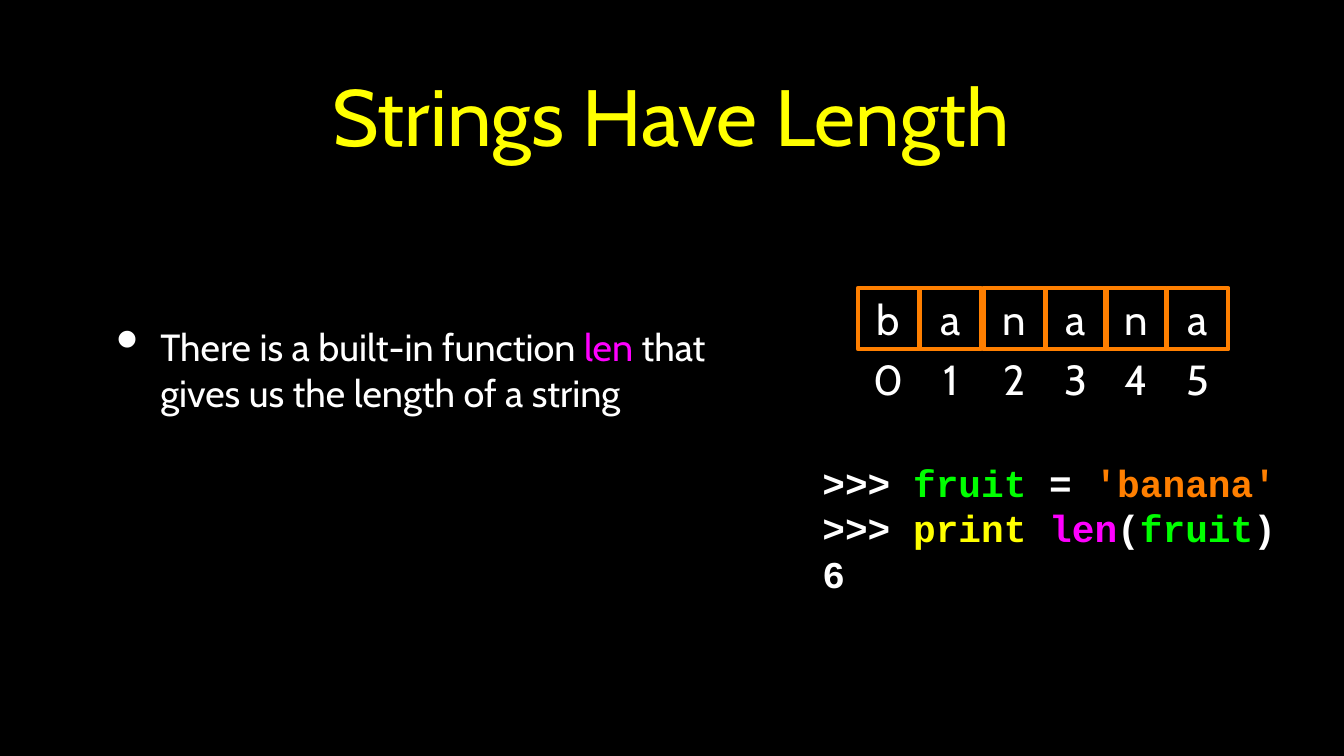
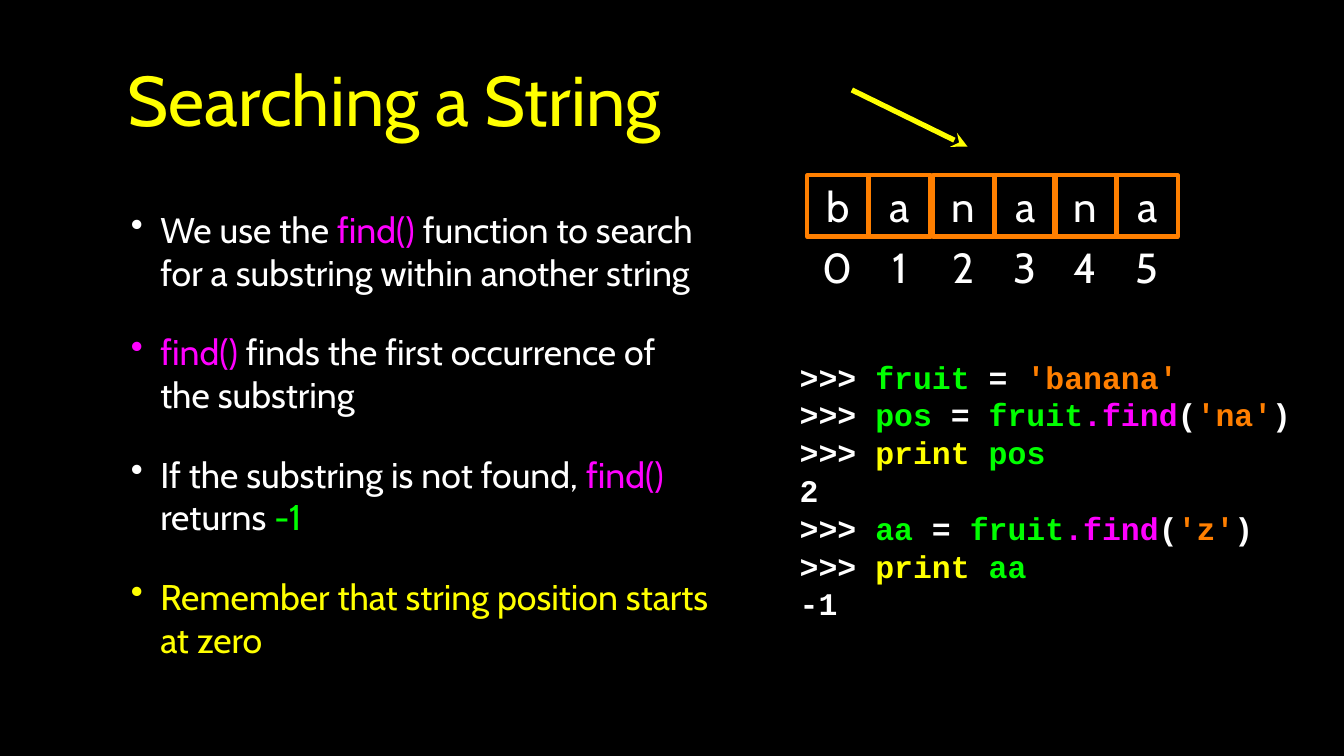
from pptx import Presentation
from pptx.dml.color import RGBColor
from pptx.enum.shapes import MSO_CONNECTOR as CONN, MSO_SHAPE as SHAPE
from pptx.enum.text import MSO_ANCHOR as ANCHOR, MSO_AUTO_SIZE as AUTOSIZE, PP_ALIGN as ALIGN
from pptx.oxml.ns import qn
from pptx.util import Inches, Pt
from lxml.etree import SubElement

COLORS = {"black": "000000", "white": "FFFFFF", "yellow": "FFFF00",
          "green": "00FF00", "pink": "FF00FF", "orange": "FF7F00"}
SANS, MONO = "Cabin", "Courier New"
WORD = "banana"
CELL = 0.81
CELL_OFFSETS = (0, 0.82, 1.66, 2.48, 3.27, 4.09)

PROMPT = (">>> ", "white")
SLIDES = [
    {
        "title": {"text": "Strings Have Length", "box": (1.26, 0.26, 15.24, 2.51), "size": 76},
        "bullets": {
            "box": (1.26, 2.85, 8.38, 4.07), "size": 36, "hang": 0.58, "scale": 171,
            "lines": [
                [("There is a built-in function ", "white"), ("len", "pink"),
                 (" that gives us the length of a string", "white")],
            ],
        },
        "code": {
            "box": (10.88, 6.07, 6.9, 1.82), "size": 36,
            "lines": [
                [PROMPT, ("fruit", "green"), (" = ", "white"), ("'banana'", "orange")],
                [PROMPT, ("print ", "yellow"), ("len", "pink"), ("(", "white"),
                 ("fruit", "green"), (")", "white")],
                [("6", "white")],
            ],
        },
        "cells": (11.35, 3.81),
        "arrow": None,
    },
    {
        "title": {"text": "Searching a String", "box": (0.67, 0.26, 9.08, 2.07), "size": 67},
        "bullets": {
            "box": (1.26, 2.4, 8.15, 6.68), "size": 34, "hang": 0.39, "scale": 100,
            "lines": [
                [("We use the", "white"), (" find()", "pink"),
                 (" function to search for a substring within another string", "white")],
                [("find()", "pink"), (" finds the first occurrence of the substring", "white")],
                [("If the substring is not found, ", "white"), ("find()", "pink"),
                 (" returns ", "white"), ("-1", "green")],
                [("Remember that string position starts at zero", "yellow")],
            ],
        },
        "code": {
            "box": (10.58, 4.36, 6.83, 4.24), "size": 30,
            "lines": [
                [PROMPT, ("fruit ", "green"), ("=", "white"), (" 'banana'", "orange")],
                [PROMPT, ("pos ", "green"), ("=", "white"), (" fruit", "green"),
                 (".find", "pink"), ("(", "white"), ("'na'", "orange"), (")", "white")],
                [PROMPT, ("print ", "yellow"), ("pos", "green")],
                [("2", "white")],
                [PROMPT, ("aa ", "green"), ("= ", "white"), ("fruit", "green"),
                 (".find", "pink"), ("(", "white"), ("'z'", "orange"), (")", "white")],
                [PROMPT, ("print ", "yellow"), ("aa", "green")],
                [("-1", "white")],
            ],
        },
        "cells": (10.68, 2.32),
        "arrow": (12.8, 1.94, 11.27, 1.19),
    },
]


def rgb(name):
    return RGBColor.from_string(COLORS[name])


def inches(values):
    return [Inches(v) for v in values]


def write(sp, lines, size, font=SANS, bold=False, align=ALIGN.LEFT, inset=0):
    tf = sp.text_frame
    style = {"word_wrap": True, "auto_size": AUTOSIZE.NONE, "vertical_anchor": ANCHOR.MIDDLE}
    style.update({"margin_" + side: Inches(inset) for side in ("left", "top", "right", "bottom")})
    for name, value in style.items():
        setattr(tf, name, value)
    for i, line in enumerate(lines):
        p = tf.add_paragraph() if i else tf.paragraphs[0]
        p.alignment = align
        for text, color in line:
            r = p.add_run()
            r.text = text
            for name, value in {"name": font, "size": Pt(size), "bold": bold}.items():
                setattr(r.font, name, value)
            r.font.color.rgb = rgb(color)
    return tf


def add_text(s, box, lines, size, **style):
    return write(s.shapes.add_textbox(*inches(box)), lines, size, **style)


def add_title(s, text, box, size):
    sp = s.shapes.title
    sp.left, sp.top, sp.width, sp.height = inches(box)
    write(sp, [[(text, "yellow")]], size, align=ALIGN.CENTER, inset=0.04)


def add_bullets(s, box, size, hang, scale, lines):
    tf = add_text(s, box, lines, size, inset=0.04)
    for i, (p, line) in enumerate(zip(tf.paragraphs, lines)):
        if i:
            p.space_before = Pt(35)
        pPr = p._p.get_or_add_pPr()
        pPr.set("marL", str(Inches(0.82)))
        pPr.set("indent", str(-Inches(hang)))
        clr = SubElement(pPr, qn("a:buClr"))
        SubElement(clr, qn("a:srgbClr"), val=COLORS[line[0][1]])
        SubElement(pPr, qn("a:buSzPct"), val=str(scale * 1000))
        SubElement(pPr, qn("a:buChar"), char="•")


def add_cells(s, left, top):
    for i, (letter, offset) in enumerate(zip(WORD, CELL_OFFSETS)):
        x = left + offset
        add_text(s, (x, top + 0.8, CELL, CELL), [[(str(i), "white")]], 40, align=ALIGN.CENTER)
        sp = s.shapes.add_shape(SHAPE.RECTANGLE, *inches((x, top, CELL, CELL)))
        sp.shadow.inherit = False
        sp.fill.background()
        sp.line.color.rgb = rgb("orange")
        sp.line.width = Pt(4)
        write(sp, [[(letter, "white")]], 40, align=ALIGN.CENTER)


def add_arrow(s, ends):
    line = s.shapes.add_connector(CONN.STRAIGHT, *inches(ends))
    line.line.color.rgb = rgb("yellow")
    line.line.width = Pt(5)
    SubElement(line.line._get_or_add_ln(), qn("a:headEnd"), type="stealth")
    SubElement(line._element.spPr, qn("a:effectLst"))


prs = Presentation()
prs.slide_width, prs.slide_height = inches((17.78, 10))
fill = prs.slide_master.background.fill
fill.solid()
fill.fore_color.rgb = rgb("black")

for item in SLIDES:
    s = prs.slides.add_slide(prs.slide_layouts[5])
    add_title(s, **item["title"])
    add_bullets(s, **item["bullets"])
    add_text(s, **item["code"], font=MONO, bold=True)
    if item["arrow"]:
        add_arrow(s, item["arrow"])
    add_cells(s, *item["cells"])

prs.save("out.pptx")
